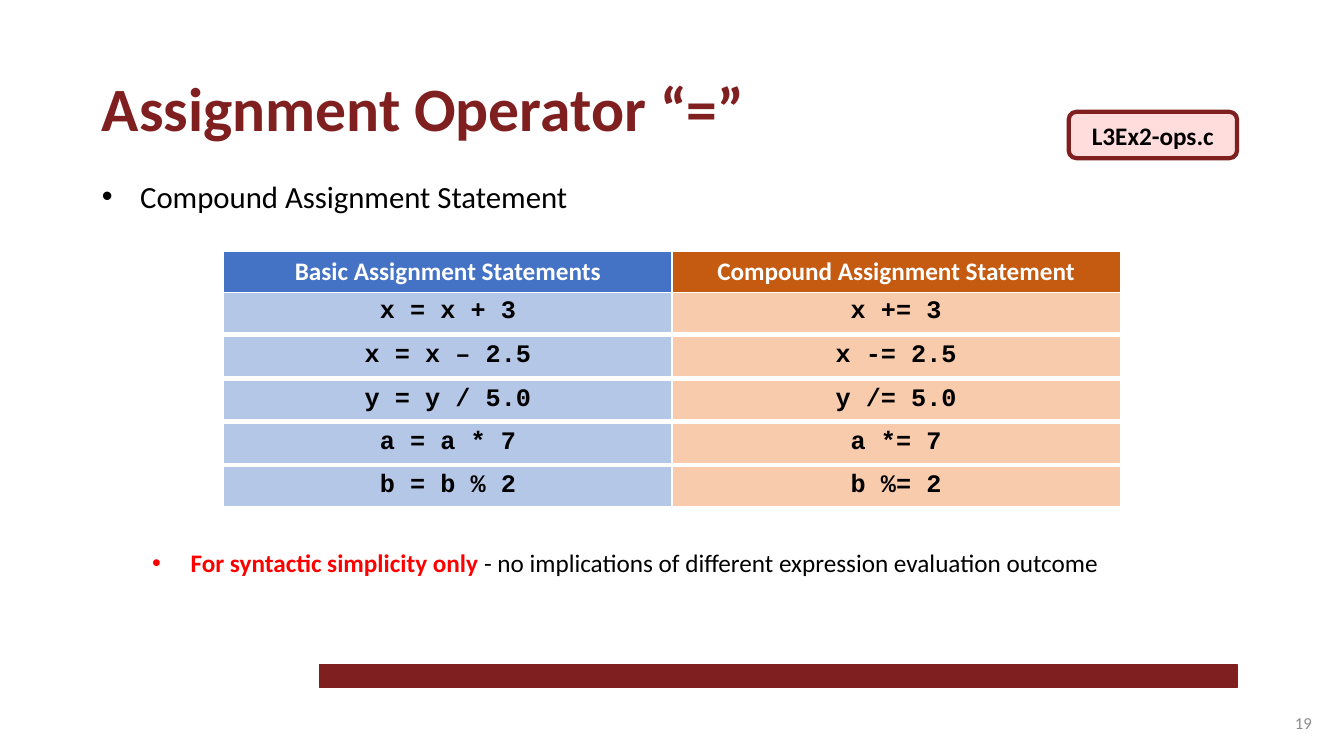
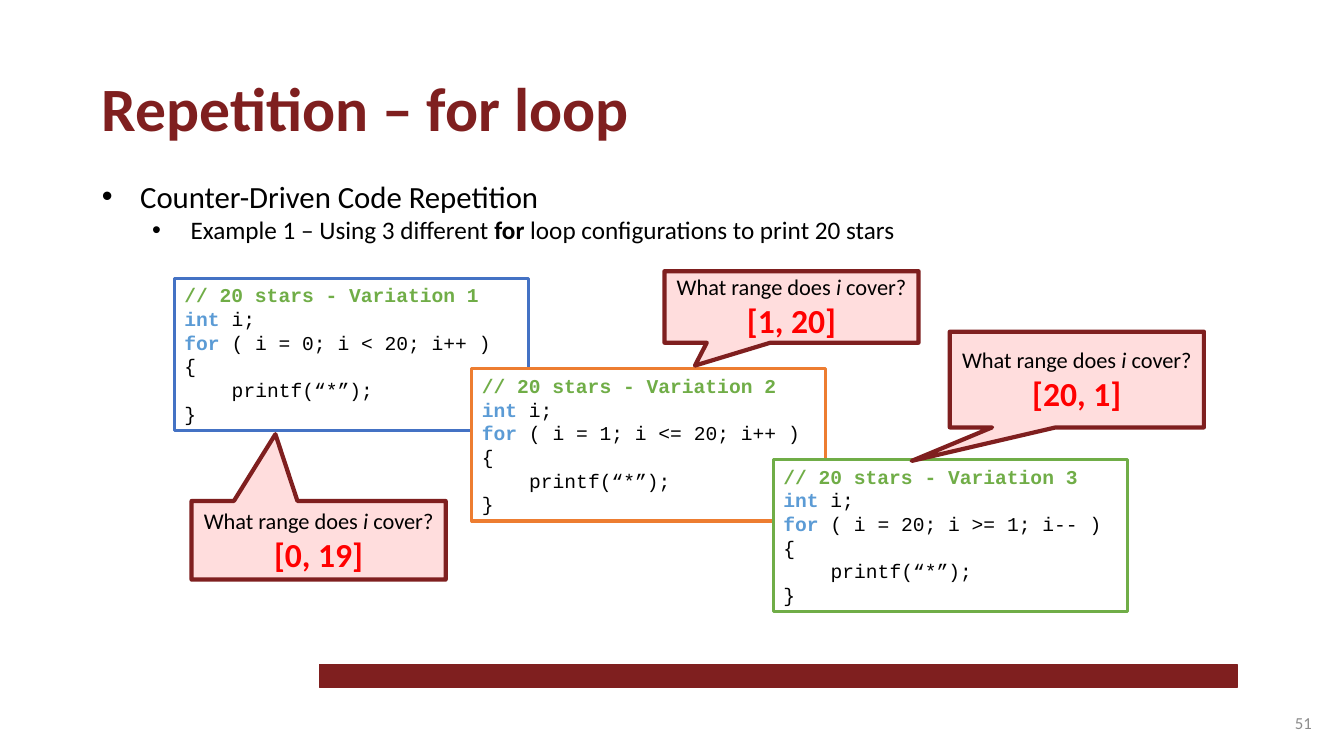
from lxml import etree
from pptx import Presentation
from pptx.dml.color import RGBColor
from pptx.enum.shapes import MSO_SHAPE
from pptx.enum.text import MSO_ANCHOR, MSO_AUTO_SIZE, PP_ALIGN
from pptx.oxml.ns import qn
from pptx.util import Inches, Pt

LEFT, CENTER, RIGHT = PP_ALIGN.LEFT, PP_ALIGN.CENTER, PP_ALIGN.RIGHT
TOP, MIDDLE = MSO_ANCHOR.TOP, MSO_ANCHOR.MIDDLE
GROW = MSO_AUTO_SIZE.SHAPE_TO_FIT_TEXT
RECTANGLE = MSO_SHAPE.RECTANGLE
CALLOUT = MSO_SHAPE.RECTANGULAR_CALLOUT
FILE_TAG = MSO_SHAPE.FLOWCHART_ALTERNATE_PROCESS

COLORS = {
    "maroon": "7F1F1F", "pink": "FFDDDD", "red": "FF0000",
    "black": "000000", "white": "FFFFFF", "gray": "8C8C8C",
    "blue": "4472C4", "light_blue": "B4C7E7", "keyword": "5B9BD5",
    "rust": "C55A11", "peach": "F8CBAD", "orange": "ED7D31",
    "green": "70AD47",
}
SANS, MONO = "Calibri", "Courier New"
CONTENT_LAYOUT = 1
MARGIN = 0.91


def rgb(name):
    return RGBColor.from_string(COLORS[name])


def style_font(font, size=None, color=None, bold=None, italic=None, name=None):
    """Set only the given font properties."""
    if size:
        font.size = Pt(size)
    if color:
        font.color.rgb = rgb(color)
    if bold is not None:
        font.bold = bold
    if italic is not None:
        font.italic = italic
    if name:
        font.name = name


def write(paragraph, runs, size, color="black", bold=False, name=SANS, align=LEFT):
    """Fill a paragraph with (text, font overrides) runs."""
    paragraph.alignment = align
    style_font(paragraph.font, size, color, bold, name=name)
    for text, overrides in runs:
        run = paragraph.add_run()
        run.text = text
        style_font(run.font, **overrides)


def next_paragraph(frame, index):
    return frame.add_paragraph() if index else frame.paragraphs[0]


def place(shape, box):
    shape.left, shape.top, shape.width, shape.height = map(Inches, box)


def add_panel(slide, kind, box, fill, line, line_width):
    panel = slide.shapes.add_shape(kind, *map(Inches, box))
    panel.shadow.inherit = False
    panel.fill.solid()
    panel.fill.fore_color.rgb = rgb(fill)
    panel.line.color.rgb = rgb(line)
    panel.line.width = Pt(line_width)
    panel.text_frame.word_wrap = True
    return panel


def add_bullets(body, box, bullets):
    """Write (level, space before, runs) bullets in the body placeholder."""
    place(body, box)
    frame = body.text_frame
    frame.auto_size = GROW
    for index, (level, space_before, runs) in enumerate(bullets):
        paragraph = next_paragraph(frame, index)
        paragraph.level = level
        properties = paragraph._p.get_or_add_pPr()
        properties.set("marL", str(Inches(0.38 + 0.5 * level)))
        properties.set("indent", str(Inches(-0.38)))
        etree.SubElement(properties, qn("a:buFont"), typeface="Arial")
        etree.SubElement(properties, qn("a:buChar"), char="•")
        paragraph.space_before = Pt(space_before)
        write(paragraph, runs, 18 if level else 22)


def add_base_slide(deck, title, title_width, number, body_size, bullets):
    slide = deck.slides.add_slide(deck.slide_layouts[CONTENT_LAYOUT])
    heading, body = slide.placeholders
    place(heading, (MARGIN, 0.64, title_width, 0.84))
    frame = heading.text_frame
    frame.word_wrap = False
    frame.auto_size = GROW
    frame.vertical_anchor = TOP
    write(frame.paragraphs[0], [(title, {})], 44, "maroon", True)

    add_bullets(body, (MARGIN, 1.71, *body_size), bullets)
    add_panel(slide, RECTANGLE, (3.17, 6.59, 9.1, 0.23), "maroon", "maroon", 1)

    page = slide.shapes.add_textbox(*map(Inches, (10.11, 6.97, 3, 0.4))).text_frame
    page.word_wrap = True
    page.vertical_anchor = MIDDLE
    write(page.paragraphs[0], [(number, {})], 12, "gray", align=RIGHT)
    return slide


def set_borders(cell, bottom_width):
    properties = cell._tc.get_or_add_tcPr()
    widths = {"lnL": 1, "lnR": 1, "lnT": 1, "lnB": bottom_width}
    for index, (side, width) in enumerate(widths.items()):
        border = etree.Element(qn(f"a:{side}"), w=str(Pt(width)))
        fill = etree.SubElement(border, qn("a:solidFill"))
        etree.SubElement(fill, qn("a:srgbClr"), val=COLORS["white"])
        properties.insert(index, border)


def add_statement_table(slide, box, rows):
    """Add a two-column table; each row is (texts, fills, font, colour, bottom border)."""
    table = slide.shapes.add_table(len(rows), 2, *map(Inches, box)).table
    table.first_row = table.horz_banding = False
    for row, (texts, fills, name, color, bottom_width) in enumerate(rows):
        for column, (text, fill) in enumerate(zip(texts, fills)):
            cell = table.cell(row, column)
            cell.fill.solid()
            cell.fill.fore_color.rgb = rgb(fill)
            set_borders(cell, bottom_width)
            write(cell.text_frame.paragraphs[0], [(text, {})], 18, color, True, name, CENTER)


def add_code_box(slide, left, top, line, variation, loop):
    box = add_panel(slide, RECTANGLE, (left, top, 3.51, 1.51), "white", line, 2.25)
    frame = box.text_frame
    frame.vertical_anchor = TOP
    keyword = {"color": "keyword", "bold": True}
    code = [
        (0, [(f"// 20 stars - Variation {variation}", {"color": "green", "bold": True})]),
        (0, [("int ", keyword), ("i;", {})]),
        (0, [("for ", keyword), (f"( {loop} )", {})]),
        (0, [("{", {})]),
        (0.47, [("printf(“*”);", {})]),
        (0, [("}", {})]),
    ]
    for index, (indent, runs) in enumerate(code):
        paragraph = next_paragraph(frame, index)
        paragraph._p.get_or_add_pPr().set("marL", str(Inches(indent)))
        paragraph.line_spacing = Pt(16.9)
        write(paragraph, runs, 14, name=MONO)


def add_range_callout(slide, box, pointer, answer):
    callout = add_panel(slide, CALLOUT, box, "pink", "maroon", 3)
    callout.adjustments[0], callout.adjustments[1] = pointer
    frame = callout.text_frame
    frame.vertical_anchor = MIDDLE
    question = [("What range does ", {}), ("i", {"italic": True}), (" cover?", {})]
    write(frame.paragraphs[0], question, 16, align=CENTER)
    write(frame.add_paragraph(), [(answer, {})], 24, "red", True, align=CENTER)


def add_assignment_slide(deck):
    slide = add_base_slide(deck, "Assignment Operator “=”", 6.64, "19", (11.12, 4.54), [
        (0, 0, [("Compound Assignment Statement", {})]),
        (1, 238, [
            ("For syntactic simplicity only", {"color": "red", "bold": True}),
            (" - no implications of different expression evaluation outcome", {}),
        ]),
    ])
    left, top, width, row_height, pitch = 2.22, 2.49, 8.89, 0.41, 0.43
    titles = ("Basic Assignment Statements", "Compound Assignment Statement")
    header = (titles, ("blue", "rust"), SANS, "white", 1)
    statements = [
        ("x = x + 3", "x += 3"),
        ("x = x – 2.5", "x -= 2.5"),
        ("y = y / 5.0", "y /= 5.0"),
        ("a = a * 7", "a *= 7"),
        ("b = b % 2", "b %= 2"),
    ]
    rows = [(pair, ("light_blue", "peach"), MONO, "black", 3) for pair in statements]
    add_statement_table(slide, (left, top, width, 2 * row_height), [header, rows[0]])
    for index, row in enumerate(rows[1:], 1):
        row_top = top + row_height + 0.01 + pitch * index
        add_statement_table(slide, (left, row_top, width, row_height), [row])

    tag = add_panel(slide, FILE_TAG, (10.6, 1.11, 1.67, 0.46), "pink", "maroon", 3)
    tag.text_frame.vertical_anchor = MIDDLE
    write(tag.text_frame.paragraphs[0], [("L3Ex2-ops.c", {})], 18, bold=True, align=CENTER)


def add_for_loop_slide(deck):
    slide = add_base_slide(deck, "Repetition – for loop", 5.49, "51", (11.51, 1.38), [
        (0, 0, [("Counter-Driven Code Repetition", {})]),
        (1, 0, [
            ("Example 1 – Using 3 different ", {}),
            ("for", {"bold": True}),
            (" loop configurations to print 20 stars", {}),
        ]),
    ])
    variations = [
        (1.73, "blue", "i = 0; i < 20; i++"),
        (4.68, "orange", "i = 1; i <= 20; i++"),
        (7.67, "green", "i = 20; i >= 1; i--"),
    ]
    for index, (left, line, loop) in enumerate(variations):
        add_code_box(slide, left, 2.76 + 0.9 * index, line, index + 1, loop)

    callouts = [
        (1.9, 4.97, 0.78, (-0.17, -1.35), "[0, 19]"),
        (6.59, 2.69, 0.71, (-0.38, 0.82), "[1, 20]"),
        (9.42, 3.29, 0.95, (-0.65, 0.85), "[20, 1]"),
    ]
    for left, top, height, pointer, answer in callouts:
        add_range_callout(slide, (left, top, 2.52, height), pointer, answer)


def main():
    deck = Presentation()
    deck.slide_width, deck.slide_height = Inches(13.33), Inches(7.5)
    add_assignment_slide(deck)
    add_for_loop_slide(deck)
    deck.save("out.pptx")


if __name__ == "__main__":
    main()
